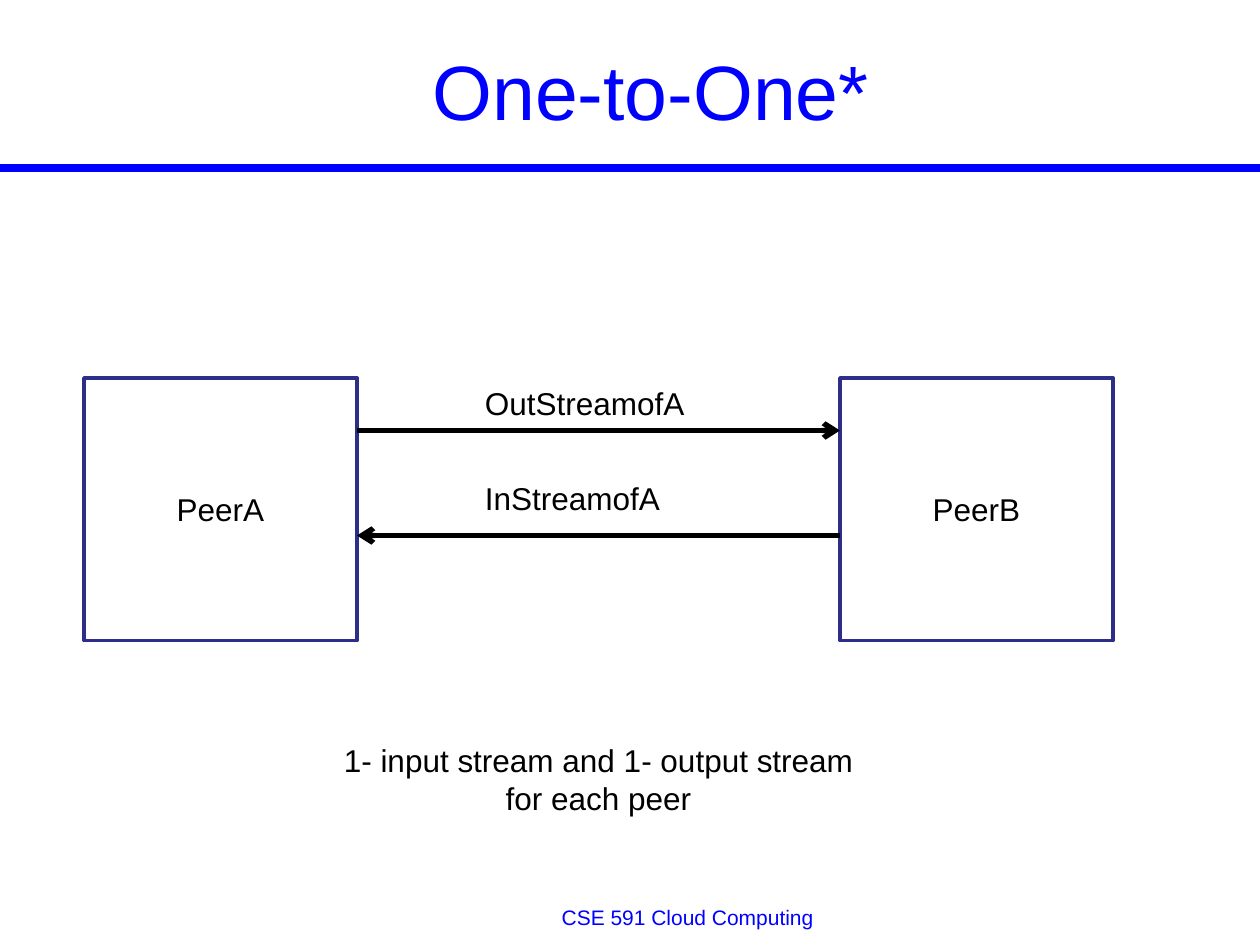
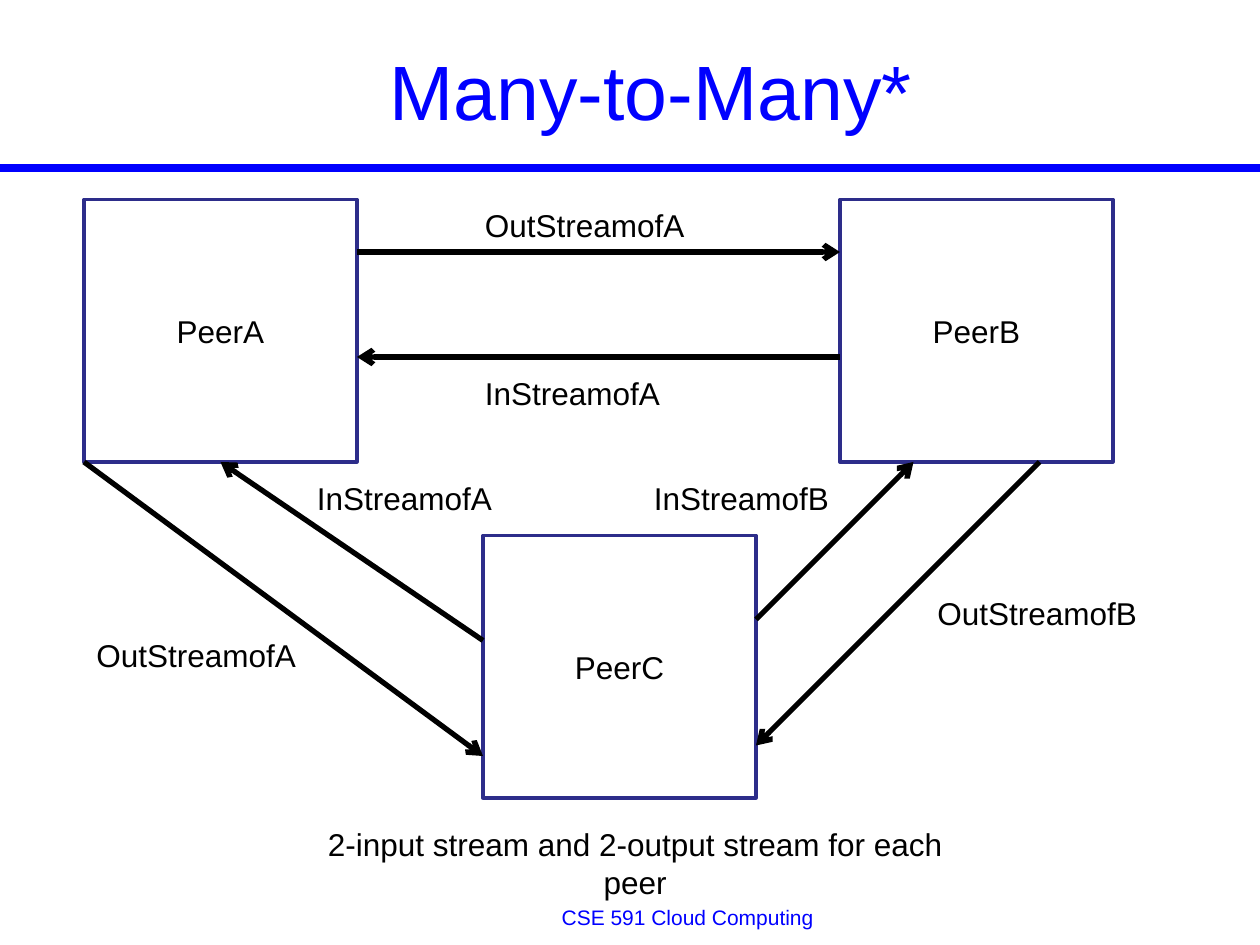
from lxml.etree import SubElement
from pptx import Presentation
from pptx.dml.color import RGBColor
from pptx.enum.shapes import MSO_CONNECTOR, MSO_SHAPE
from pptx.enum.text import MSO_ANCHOR, PP_ALIGN
from pptx.oxml.ns import qn
from pptx.util import Pt

PX = 7620
FONT = "Arial"
BLUE = RGBColor(0x00, 0x00, 0xFF)
NAVY = RGBColor(0x2D, 0x2D, 0x8A)
BLACK = RGBColor(0x00, 0x00, 0x00)
WHITE = RGBColor(0xFF, 0xFF, 0xFF)
PEER_WIDTH, PEER_HEIGHT = 260, 250
LABEL_HEIGHT = 48

SLIDES = [
    {
        "title": "One-to-One*",
        "peers": {"PeerA": (80, 360), "PeerB": (800, 360)},
        "streams": [(340, 410, 800, 410), (800, 510, 340, 510)],
        "labels": [
            ("OutStreamofA", 450, 360, 220),
            ("InStreamofA", 450, 450, 220),
        ],
        "summary": ("1- input stream and 1- output stream for each peer", 310, 700, 520),
    },
    {
        "title": "Many-to-Many*",
        "peers": {"PeerA": (80, 190), "PeerB": (800, 190), "PeerC": (460, 510)},
        "streams": [
            (340, 240, 800, 240),
            (800, 340, 340, 340),
            (80, 440, 460, 720),
            (460, 610, 210, 440),
            (720, 590, 870, 440),
            (990, 440, 720, 710),
        ],
        "labels": [
            ("OutStreamofA", 450, 190, 220),
            ("InStreamofA", 450, 350, 220),
            ("OutStreamofA", 80, 600, 220),
            ("InStreamofA", 290, 450, 200),
            ("InStreamofB", 611, 450, 195),
            ("OutStreamofB", 881, 560, 218),
        ],
        "summary": ("2-input stream and 2-output stream for each peer", 290, 780, 630),
    },
]


def write(frame, text, size=18, color=BLACK, align=PP_ALIGN.CENTER):
    frame.word_wrap = True
    paragraph = frame.paragraphs[0]
    paragraph.alignment = align
    run = paragraph.add_run()
    run.text = text
    run.font.name = FONT
    run.font.size = Pt(size)
    run.font.color.rgb = color
    return paragraph


def draw_line(slide, ends, color, width):
    line = slide.shapes.add_connector(MSO_CONNECTOR.STRAIGHT, *[end * PX for end in ends])
    line.line.color.rgb = color
    line.line.width = Pt(width)
    SubElement(line._element.spPr, qn("a:effectLst"))
    return line


deck = Presentation()
deck.slide_width = 1200 * PX
deck.slide_height = 900 * PX

for content in SLIDES:
    slide = deck.slides.add_slide(deck.slide_layouts[5])
    draw_line(slide, (0, 160, 1200, 160), BLUE, 4.5)

    footer = slide.shapes.add_textbox(230 * PX, 860 * PX, 850 * PX, 31 * PX)
    credit = write(footer.text_frame, "CSE 591 Cloud Computing", 12, BLUE)
    credit.line_spacing = 0.8

    title = slide.shapes.title
    title.left, title.top, title.width, title.height = [n * PX for n in (80, 20, 1080, 130)]
    title.text_frame.vertical_anchor = MSO_ANCHOR.MIDDLE
    write(title.text_frame, content["title"], 44, BLUE)

    bottom_middles = {}
    for name, (left, top) in content["peers"].items():
        peer = slide.shapes.add_shape(
            MSO_SHAPE.RECTANGLE, left * PX, top * PX, PEER_WIDTH * PX, PEER_HEIGHT * PX
        )
        peer.shadow.inherit = False
        peer.fill.solid()
        peer.fill.fore_color.rgb = WHITE
        peer.line.color.rgb = NAVY
        peer.line.width = Pt(2)
        peer.text_frame.vertical_anchor = MSO_ANCHOR.MIDDLE
        write(peer.text_frame, name)
        bottom_middles[left + PEER_WIDTH // 2, top + PEER_HEIGHT] = peer

    for ends in content["streams"]:
        stream = draw_line(slide, ends, BLACK, 3)
        SubElement(stream.line._get_or_add_ln(), qn("a:tailEnd"), type="arrow")
        if ends[2:] in bottom_middles:
            stream.end_connect(bottom_middles[ends[2:]], 2)

    for text, left, top, width in content["labels"]:
        label = slide.shapes.add_textbox(left * PX, top * PX, width * PX, LABEL_HEIGHT * PX)
        write(label.text_frame, text, align=PP_ALIGN.LEFT)

    text, left, top, width = content["summary"]
    summary = slide.shapes.add_textbox(left * PX, top * PX, width * PX, 84 * PX)
    write(summary.text_frame, text)

deck.save("out.pptx")
